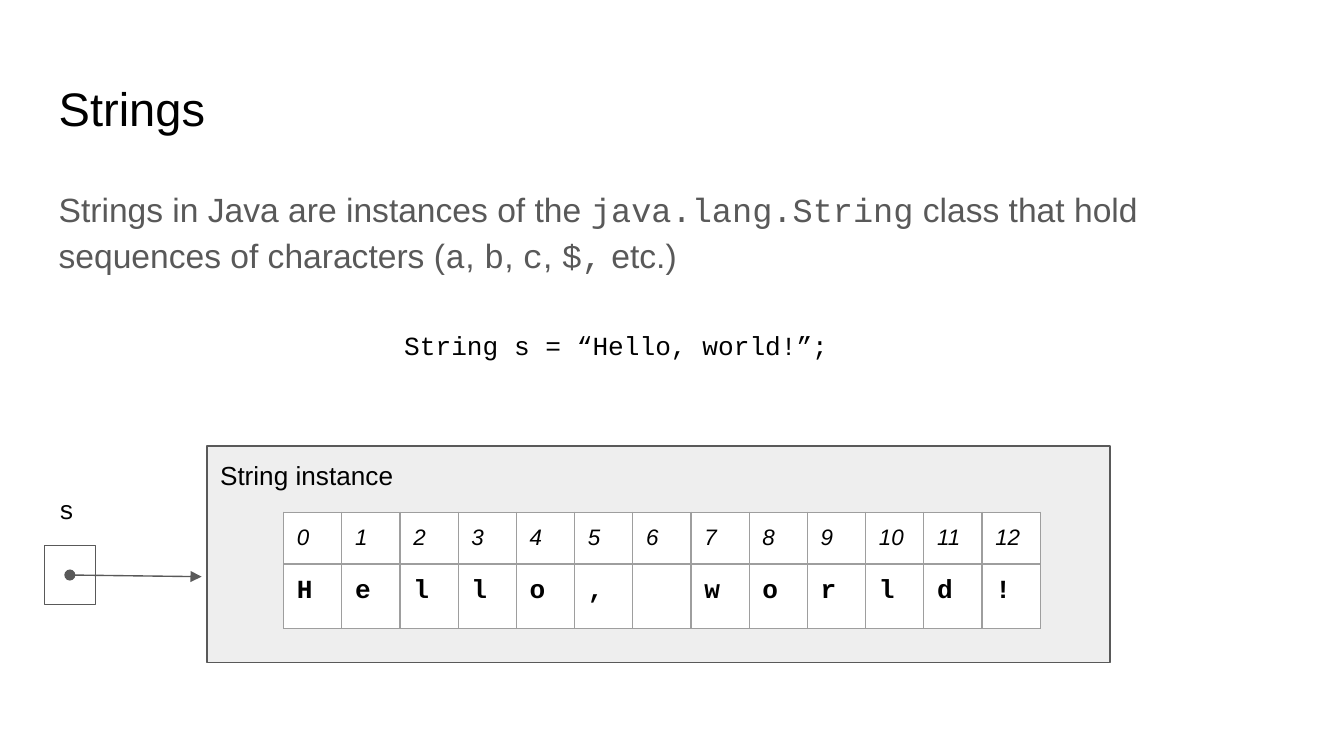
from lxml import etree
from pptx import Presentation
from pptx.dml.color import RGBColor
from pptx.enum.shapes import MSO_CONNECTOR, MSO_SHAPE
from pptx.enum.text import MSO_ANCHOR, MSO_AUTO_SIZE, PP_ALIGN
from pptx.oxml.ns import qn
from pptx.util import Cm, Pt

RECTANGLE = MSO_SHAPE.RECTANGLE
STRAIGHT = MSO_CONNECTOR.STRAIGHT
TOP, MIDDLE = MSO_ANCHOR.TOP, MSO_ANCHOR.MIDDLE
NO_FIT = MSO_AUTO_SIZE.NONE
LEFT = PP_ALIGN.LEFT

COLORS = {"black": "000000", "gray": "595959", "panel": "EEEEEE",
          "white": "FFFFFF", "grid": "9E9E9E"}
SANS, MONO = "Arial", "Courier New"
INSET = Cm(0.25)
LINE_WIDTH = Pt(0.75)


def color(name):
    return RGBColor.from_string(COLORS[name])


def write(para, text, size=14, font=SANS, ink="black", bold=False, italic=False):
    """Add one formatted span of text to a paragraph."""
    para.alignment = LEFT
    if not text:
        para._p.get_or_add_endParaRPr().set("sz", str(size * 100))
        return
    span = para.add_run()
    span.text = text
    span.font.size, span.font.name = Pt(size), font
    span.font.bold, span.font.italic = bold, italic
    span.font.color.rgb = color(ink)


class Page:
    def __init__(self, deck):
        self.slide = deck.slides.add_slide(deck.slide_layouts[5])
        self.shapes = self.slide.shapes

    def frame(self, box, anchor=TOP):
        frame = box.text_frame
        frame.word_wrap = True
        frame.auto_size = NO_FIT
        frame.vertical_anchor = anchor
        frame.margin_left = frame.margin_right = INSET
        frame.margin_top = frame.margin_bottom = INSET
        return frame.paragraphs[0]

    def title(self, text, left, top, width, height, **style):
        box = self.shapes.title
        box.left, box.top, box.width, box.height = map(Cm, (left, top, width, height))
        write(self.frame(box, MIDDLE), text, **style)

    def text(self, spans, left, top, width, height, spacing=1.0, **style):
        box = self.shapes.add_textbox(*map(Cm, (left, top, width, height)))
        para = self.frame(box)
        para.line_spacing = spacing
        for text, font in spans:
            write(para, text, font=font, **style)

    def rectangle(self, left, top, width, height, fill, label=""):
        box = self.shapes.add_shape(RECTANGLE, *map(Cm, (left, top, width, height)))
        box.shadow.inherit = False
        box.fill.solid()
        box.fill.fore_color.rgb = color(fill)
        box.line.color.rgb = color("gray")
        box.line.width = LINE_WIDTH
        write(self.frame(box), label)

    def table(self, rows, left, top, column_width, row_heights, styles):
        columns = len(rows[0])
        table = self.shapes.add_table(
            len(rows), columns, Cm(left), Cm(top),
            Cm(column_width * columns), Cm(sum(row_heights))).table
        table.first_row = table.horz_banding = False
        for column in table.columns:
            column.width = Cm(column_width)
        for row, texts, height, style in zip(table.rows, rows, row_heights, styles):
            row.height = Cm(height)
            for cell, text in zip(row.cells, texts):
                self.cell(cell, text, **style)

    def cell(self, cell, text, **style):
        cell.margin_left = cell.margin_right = INSET
        cell.margin_top = cell.margin_bottom = INSET
        write(cell.text_frame.paragraphs[0], text, **style)
        properties = cell._tc.get_or_add_tcPr()
        for side in ("a:lnL", "a:lnR", "a:lnT", "a:lnB"):
            border = etree.SubElement(properties, qn(side), w=str(int(LINE_WIDTH)))
            fill = etree.SubElement(border, qn("a:solidFill"))
            etree.SubElement(fill, qn("a:srgbClr"), val=COLORS["grid"])
        cell.fill.solid()
        cell.fill.fore_color.rgb = color("white")

    def arrow(self, x1, y1, x2, y2):
        arrow = self.shapes.add_connector(STRAIGHT, *map(Cm, (x1, y1, x2, y2)))
        arrow.line.color.rgb = color("gray")
        arrow.line.width = LINE_WIDTH
        line = arrow.line._get_or_add_ln()
        etree.SubElement(line, qn("a:headEnd"), type="oval")
        etree.SubElement(line, qn("a:tailEnd"), type="triangle")
        etree.SubElement(arrow._element.spPr, qn("a:effectLst"))


def main():
    deck = Presentation()
    deck.slide_width, deck.slide_height = Cm(25.4), Cm(14.29)
    page = Page(deck)

    # Title and definition
    page.title("Strings", 0.86, 1.24, 23.67, 1.6, size=25.2)
    page.text([("Strings in Java are instances of the ", SANS),
               ("java.lang.String", MONO),
               (" class that hold sequences of characters (", SANS),
               ("a", MONO), (", ", SANS), ("b", MONO), (", ", SANS),
               ("c", MONO), (", ", SANS), ("$,", MONO), (" etc.)", SANS)],
              0.86, 3.2, 23.67, 2.31, spacing=1.15, size=18, ink="gray")

    # String instance with its indexed characters
    page.rectangle(3.91, 8.43, 17.07, 4.09, "panel", "String instance")
    characters = list("Hello, world!")
    indexes = [str(index) for index in range(len(characters))]
    letters = [character.strip() for character in characters]
    page.table([indexes, letters], 5.36, 9.68, 1.1, (0.98, 1.22),
               ({"size": 12, "italic": True}, {"font": MONO, "bold": True}))

    # Declaration
    page.text([("String s = “Hello, world!”;", MONO)], 7.39, 5.97, 12.19, 1.12)

    # Variable and its reference
    page.text([("s", MONO)], 0.86, 9.07, 0.89, 1.12)
    page.rectangle(0.84, 10.31, 0.97, 1.12, "white")
    page.arrow(1.32, 10.87, 3.81, 10.9)

    deck.save("out.pptx")


if __name__ == "__main__":
    main()
